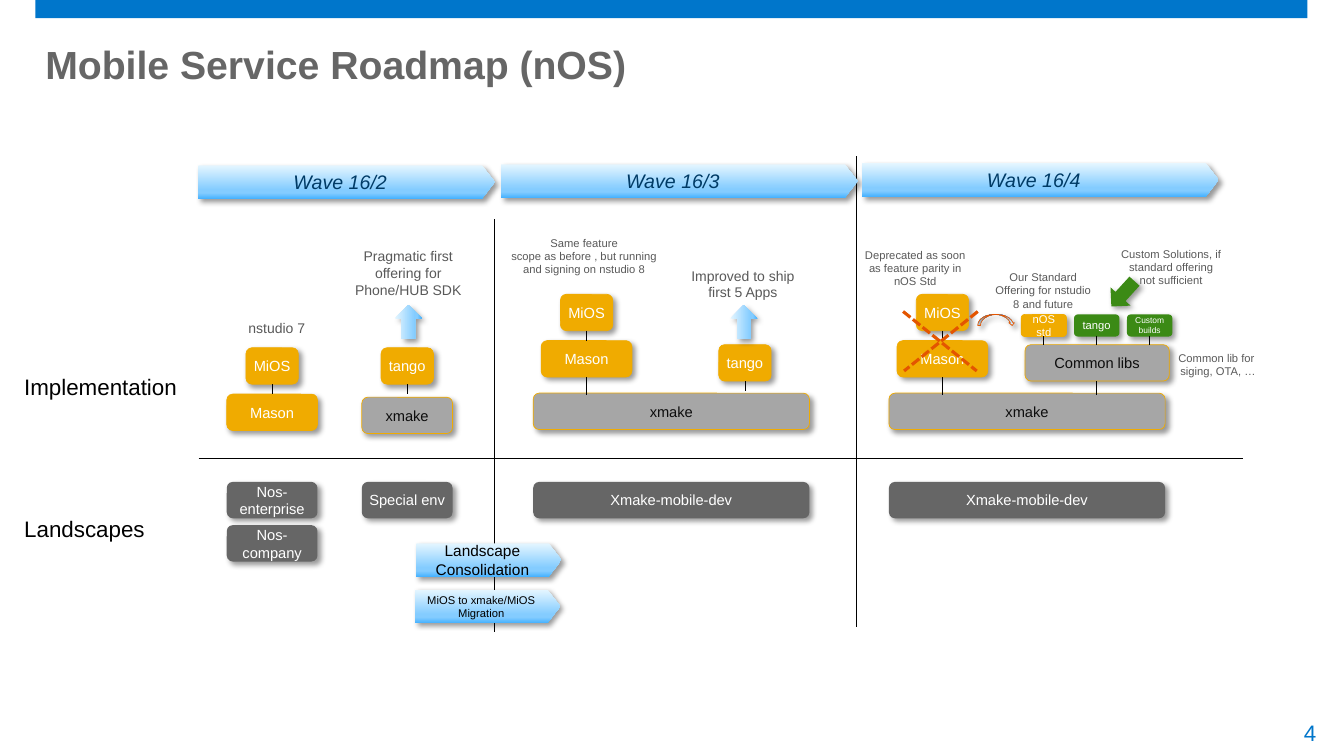
"""Build the mobile service roadmap slide with three waves, their build stacks and landscapes."""
from dataclasses import dataclass

from pptx import Presentation
from pptx.dml.color import RGBColor as RGB
from pptx.enum.dml import MSO_LINE
from pptx.enum.shapes import MSO_CONNECTOR, MSO_SHAPE as SHAPE
from pptx.enum.text import MSO_ANCHOR as ANCHOR, PP_ALIGN as ALIGN
from pptx.oxml import parse_xml
from pptx.oxml.ns import nsdecls, qn
from pptx.util import Pt


@dataclass(frozen=True)
class Theme:
    font: str = "Arial"
    blue: str = "0076CB"
    navy: str = "003B66"
    gray: str = "666666"
    note: str = "595959"
    silver: str = "A6A6A6"
    amber: str = "F0AB00"
    green: str = "3B8A15"
    orange: str = "E35500"
    white: str = "FFFFFF"
    black: str = "000000"
    ink: str = "0D0D0D"
    sky: tuple = ((0, "E5F6FF"), (74, "84CCFF"), (83, "84CCFF"), (100, "47B2FF"))
    title: float = 28
    row: float = 16
    wave: float = 14
    step: float = 11
    box: float = 10.5
    text: float = 10
    small: float = 8
    tiny: float = 6


T = Theme()
SHADOW = (f'<a:outerShdw {nsdecls("a")} blurRad="50800" dist="38100" dir="2700000" algn="tl" '
          'rotWithShape="0"><a:srgbClr val="000000"><a:alpha val="40000"/></a:srgbClr></a:outerShdw>')


def add(kind, rect, text="", size=T.box, color=T.white, fill=None, line=None, shadow=True,
        adj=(), inset=1.4, align=ALIGN.CENTER, wrap=True, italic=False, rotation=0):
    rect = [Pt(v) for v in rect]
    if kind is None:
        sp = shapes.add_textbox(*rect)
    else:
        sp = shapes.add_shape(kind, *rect)
        sp.rotation = rotation
        sp.shadow.inherit = False
        for i, value in enumerate(adj):
            sp.adjustments[i] = value
        if fill == T.sky:
            sp.fill.gradient()
            sp.fill.gradient_angle = 270
            stops = sp._element.spPr.find(qn("a:gradFill")).find(qn("a:gsLst"))
            for stop in list(stops):
                stops.remove(stop)
            for pos, rgb in T.sky:
                stops.append(parse_xml(f'<a:gs {nsdecls("a")} pos="{pos * 1000}"><a:srgbClr val="{rgb}"/></a:gs>'))
        else:
            sp.fill.solid()
            sp.fill.fore_color.rgb = RGB.from_string(fill)
        if line:
            sp.line.color.rgb = RGB.from_string(line)
            sp.line.width = Pt(0.5)
        else:
            sp.line.fill.background()
        if shadow:
            sp._element.spPr.find(qn("a:effectLst")).append(parse_xml(SHADOW))
    if text:
        tf = sp.text_frame
        frame = {"word_wrap": wrap, "vertical_anchor": ANCHOR.TOP if kind is None else ANCHOR.MIDDLE}
        frame.update({f"margin_{side}": Pt(inset) for side in ("left", "top", "right", "bottom")})
        for name, value in frame.items():
            setattr(tf, name, value)
        p = tf.paragraphs[0]
        p.text = text
        p.alignment = align
        for name, value in {"name": T.font, "size": Pt(size), "italic": italic}.items():
            setattr(p.font, name, value)
        for r in p.runs:
            r.font.color.rgb = RGB.from_string(color)
    return sp


def add_line(x1, y1, x2, y2, color=T.black, width=0.5, dash=None):
    cn = shapes.add_connector(MSO_CONNECTOR.STRAIGHT, Pt(x1), Pt(y1), Pt(x2), Pt(y2))
    cn.line.color.rgb = RGB.from_string(color)
    cn.line.width = Pt(width)
    if dash:
        cn.line.dash_style = dash
    cn._element.spPr.append(parse_xml(f'<a:effectLst {nsdecls("a")}/>'))


prs = Presentation()
prs.slide_width, prs.slide_height = Pt(960), Pt(540)
slide = prs.slides.add_slide(prs.slide_layouts[5])
shapes = slide.shapes

add(SHAPE.RECTANGLE, (25.2, 0, 908.6, 13), fill=T.blue, shadow=False)
add(None, (913.7, 513.4, 26.6, 19.4), "4", T.row, T.blue, inset=0, align=ALIGN.RIGHT, wrap=False)

title = shapes.title
for name, value in {"left": 25.2, "top": 25.2, "width": 908.6, "height": 59.8}.items():
    setattr(title, name, Pt(value))
title.text_frame.text = "Mobile Service Roadmap (nOS)"
title.text_frame.vertical_anchor = ANCHOR.TOP
p = title.text_frame.paragraphs[0]
p.alignment = ALIGN.LEFT
for name, value in {"name": T.font, "size": Pt(T.title), "bold": True}.items():
    setattr(p.font, name, value)
p.font.color.rgb = RGB.from_string(T.gray)

for text, y, w in (("Landscapes", 367.9, 87.1), ("Implementation", 266.4, 110.2)):
    add(None, (17.3, y, w, 19.4), text, T.row, T.black, inset=0, align=ALIGN.LEFT, wrap=False)

BOX_W, SMALL_W, WIDE_W, BOX_H, MID = 64.8, 37.4, 197.3, 26, 32.4
STACK_STEP, SMALL_DX = 33.1, 13.7
WIDE_X = (380.9, 635)
LAND_Y, WIDE_Y = 344.2, 280.8

add_line(141.8, 327.6, 887.8, 327.6)
add_line(352.8, 451.4, 352.8, 156.2)
add_line(612, 447.8, 612, 111.6)

for text, x, y, w in (
    ("Nos-enterprise", 162, LAND_Y, BOX_W),
    ("Nos-company", 162, 375.1, BOX_W),
    ("Special env", 258.5, LAND_Y, BOX_W),
    *(("Xmake-mobile-dev", x, LAND_Y, WIDE_W) for x in WIDE_X),
):
    add(SHAPE.ROUNDED_RECTANGLE, (x, y, w, BOX_H), text, fill=T.gray)

for text, x, y, w in (
    ("xmake", 258.5, 283.7, BOX_W),
    *(("xmake", x, WIDE_Y, WIDE_W) for x in WIDE_X),
    ("Common libs", 732.2, 246.2, 103),
):
    add(SHAPE.ROUNDED_RECTANGLE, (x, y, w, BOX_H), text, color=T.ink, fill=T.silver, line=T.amber)

for x, y in ((162, 248.4), (386.6, 210.2), (640.8, 210.2)):
    for text, left, top, w in (("Mason", x, y + STACK_STEP, BOX_W), ("MiOS", x + SMALL_DX, y, SMALL_W)):
        add(SHAPE.ROUNDED_RECTANGLE, (left, top, w, BOX_H), text, fill=T.amber, line=T.amber)
    add_line(x + MID, y + BOX_H, x + MID, y + STACK_STEP)

for x, y in ((272.2, 248.4), (513.4, 246.2)):
    add(SHAPE.ROUNDED_RECTANGLE, (x, y, SMALL_W, BOX_H), "tango", fill=T.amber, line=T.amber)
    add_line(x + SMALL_W / 2, y + BOX_H, x + SMALL_W / 2, y + STACK_STEP)

for i, (text, size, fill, line, x) in enumerate((
    ("nOS std", T.small, T.amber, T.amber, 745.2),
    ("tango", T.small, T.green, None, 783.4),
    ("Custom builds", T.tiny, T.green, None, 820.8),
)):
    add(SHAPE.ROUNDED_RECTANGLE, (729.4 + 37.8 * i, 224.6, 32.4, 15.8), text, size, fill=fill, line=line)
    add_line(x, 239.8, x, 246.2)

for x, y in ((419, 269.3), (673.2, 269.3), (783.4, 272.2)):
    add_line(x, y, x, WIDE_Y + 1.4)

for text, size, color, x, y, w in (
    ("Landscape Consolidation", T.step, T.black, 297.4, 388.1, 103.7),
    ("MiOS to xmake/MiOS Migration", T.small, T.black, 296.6, 421.2, 103.7),
    ("Wave 16/2", T.wave, T.navy, 141.8, 118.1, 211.7),
    ("Wave 16/3", T.wave, T.navy, 357.8, 117.4, 254.9),
    ("Wave 16/4", T.wave, T.navy, 615.6, 116.6, 254.9),
):
    add(SHAPE.RIGHT_ARROW, (x, y, w, 23.8), text, size, color, T.sky, adj=(1, 0.388),
        italic=text.startswith("Wave"))

for x, y, fill, angle in ((279.4, 220.3, T.sky, 270), (519.1, 220.3, T.sky, 270), (789.8, 200.2, T.green, 132.4)):
    add(SHAPE.RIGHT_ARROW, (x, y, 24.5, 19.4), fill=fill, rotation=angle)

for text, size, x, y, w, h in (
    ("Pragmatic first offering for Phone/HUB SDK", T.text, 251.3, 177.1, 80.6, 36),
    ("Improved to ship first 5 Apps", T.text, 490.3, 190.8, 80.6, 24.5),
    ("nstudio 7", T.text, 144, 228.2, 107.3, 12.2),
    ("Same feature\vscope as before , but running and signing on nstudio 8", T.small, 363.6, 168.5, 107.3, 28.8),
    ("Common lib for \vsiging, OTA, …", T.small, 838.8, 250.6, 62.6, 19.4),
    ("Our Standard\vOffering for nstudio 8 and future", T.small, 709.2, 193, 72, 28.8),
    ("Custom Solutions, if standard offering not sufficient", T.small, 800.6, 176.4, 72, 28.8),
    ("Deprecated as soon as feature parity in nOS Std", T.small, 617.8, 177.1, 72, 28.8),
):
    add(None, (x, y, w, h), text, size, T.note, inset=0)

for x1, x2 in ((698.4, 645.8), (645.1, 697.7)):
    add_line(x1, 222.5, x2, 265, T.orange, 2.25, MSO_LINE.SQUARE_DOT)

sp = add(SHAPE.CURVED_UP_ARROW, (698.4, 224.6, 26.6, 7.9), fill=T.sky, line=T.orange)
sp._element.spPr.find(qn("a:xfrm")).set("flipV", "1")

prs.save("out.pptx")
